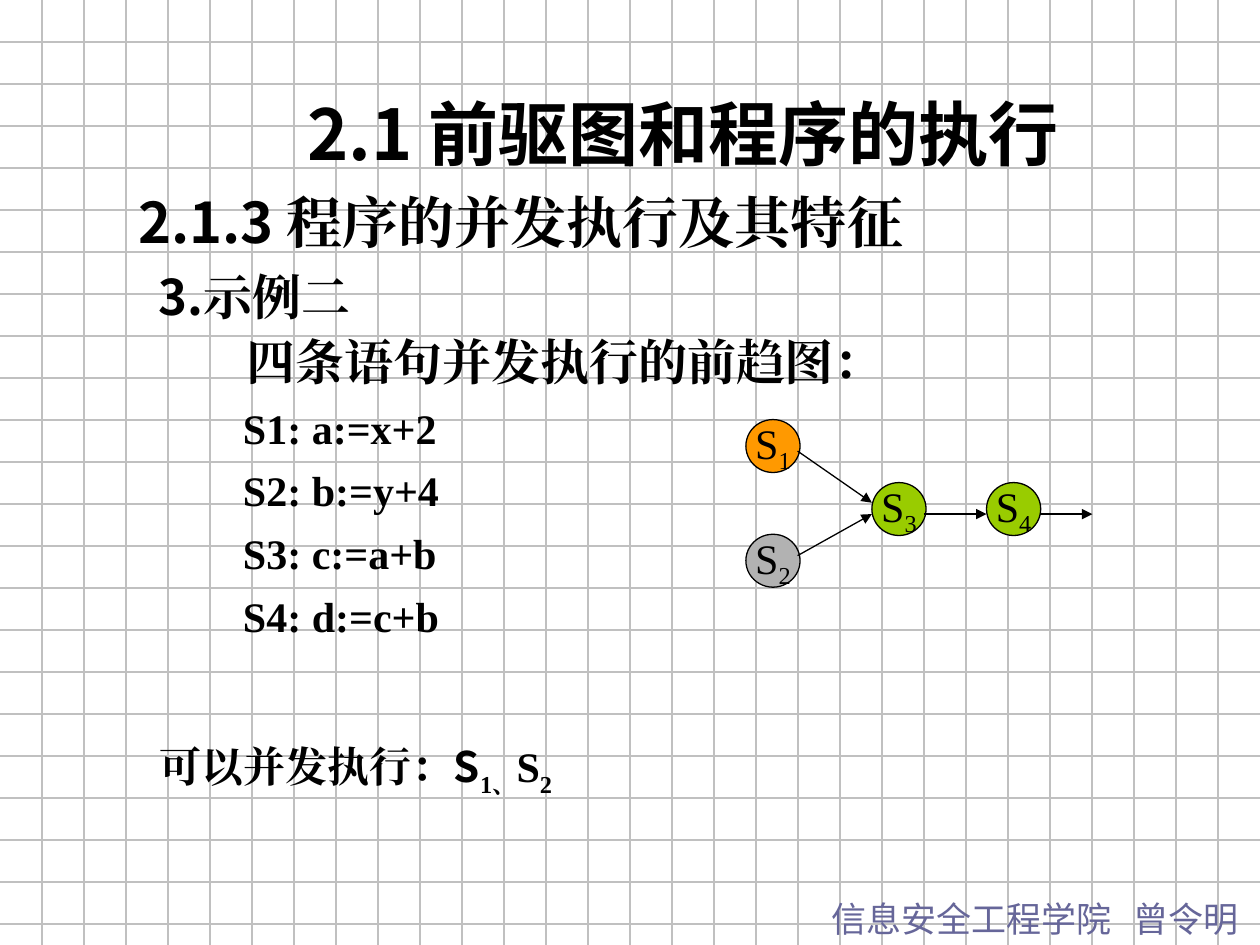
from typing import NamedTuple

from lxml.etree import SubElement
from pptx import Presentation
from pptx.dml.color import RGBColor
from pptx.enum.lang import MSO_LANGUAGE_ID
from pptx.enum.shapes import MSO_CONNECTOR, MSO_SHAPE
from pptx.enum.text import MSO_ANCHOR, PP_ALIGN
from pptx.oxml.ns import qn
from pptx.util import Inches, Pt

BLACK = RGBColor(0x00, 0x00, 0x00)
GRID_GREY = RGBColor(0xC0, 0xC0, 0xC0)
FOOTER_BLUE = RGBColor(0x66, 0x66, 0x99)
ORANGE = RGBColor(0xFF, 0x99, 0x00)
GREY = RGBColor(0xB2, 0xB2, 0xB2)
GREEN = RGBColor(0x99, 0xCC, 0x00)

TIMES = "Times New Roman"
SANS_SC = "Noto Sans CJK SC"
SANS_JP = "Noto Sans CJK JP"

WIDTH, HEIGHT = 10, 7.5
CELLS_PER_INCH = 3
NODE_WIDTH, NODE_HEIGHT = 0.43, 0.42


class Piece(NamedTuple):
    text: str
    font: str = TIMES
    subscript: bool = False


class Line(NamedTuple):
    pieces: list[Piece]
    size: float
    indent: float = 0
    before: float = 0
    spacing: float = 1.0
    align: PP_ALIGN = PP_ALIGN.LEFT
    bold: bool = True
    color: RGBColor = BLACK
    tab: float = 0


class Node(NamedTuple):
    number: str
    left: float
    top: float
    fill: RGBColor


class Edge(NamedTuple):
    x1: float
    y1: float
    x2: float
    y2: float


def write_line(paragraph, line: Line) -> None:
    properties = paragraph._p.get_or_add_pPr()
    if line.indent:
        properties.set("marL", str(Inches(line.indent)))
    if line.tab:
        tabs = SubElement(properties, qn("a:tabLst"))
        SubElement(tabs, qn("a:tab"), pos=str(Inches(line.tab)), algn="l")
    paragraph.alignment = line.align
    paragraph.line_spacing = line.spacing
    if line.before:
        paragraph.space_before = Pt(line.before)
    for piece in line.pieces:
        run = paragraph.add_run()
        run.text = piece.text
        run.font.size = Pt(line.size)
        run.font.bold = line.bold
        run.font.color.rgb = line.color
        run.font.name = piece.font
        run.font.language_id = MSO_LANGUAGE_ID.SIMPLIFIED_CHINESE
        run_properties = run._r.get_or_add_rPr()
        SubElement(run_properties, qn("a:ea"), typeface=piece.font)
        if piece.subscript:
            run_properties.set("baseline", "-25000")


def add_text(slide, left: float, top: float, width: float, height: float,
             lines: list[Line]) -> None:
    box = slide.shapes.add_textbox(Inches(left), Inches(top),
                                   Inches(width), Inches(height))
    frame = box.text_frame
    frame.word_wrap = True
    for index, line in enumerate(lines):
        paragraph = frame.add_paragraph() if index else frame.paragraphs[0]
        write_line(paragraph, line)


def add_line(slide, edge: Edge, color: RGBColor, arrow: bool = False) -> None:
    connector = slide.shapes.add_connector(
        MSO_CONNECTOR.STRAIGHT, Inches(edge.x1), Inches(edge.y1),
        Inches(edge.x2), Inches(edge.y2))
    connector.line.color.rgb = color
    connector.line.width = Pt(0.75)
    if arrow:
        SubElement(connector.line._get_or_add_ln(), qn("a:tailEnd"), type="triangle")
    SubElement(connector._element.spPr, qn("a:effectLst"))


def add_node(slide, node: Node) -> None:
    circle = slide.shapes.add_shape(
        MSO_SHAPE.OVAL, Inches(node.left), Inches(node.top),
        Inches(NODE_WIDTH), Inches(NODE_HEIGHT))
    circle.shadow.inherit = False
    circle.fill.solid()
    circle.fill.fore_color.rgb = node.fill
    circle.line.color.rgb = BLACK
    circle.line.width = Pt(0.75)
    frame = circle.text_frame
    frame.word_wrap = False
    frame.vertical_anchor = MSO_ANCHOR.MIDDLE
    write_line(frame.paragraphs[0], Line(
        [Piece("S"), Piece(node.number, subscript=True)], 24,
        align=PP_ALIGN.CENTER, bold=False))


def main() -> None:
    presentation = Presentation()
    presentation.slide_width = Inches(WIDTH)
    presentation.slide_height = Inches(HEIGHT)
    slide = presentation.slides.add_slide(presentation.slide_layouts[6])

    # Background grid
    for row in range(1, int(HEIGHT * CELLS_PER_INCH) + 1):
        y = row / CELLS_PER_INCH
        add_line(slide, Edge(0, y, WIDTH, y), GRID_GREY)
    for column in range(1, WIDTH * CELLS_PER_INCH):
        x = column / CELLS_PER_INCH
        add_line(slide, Edge(x, 0, x, HEIGHT), GRID_GREY)

    # Footer
    add_text(slide, 6.5, 7.07, 3.5, 0.44, [
        Line([Piece("信息安全工程学院\t曾令明", SANS_JP)], 20,
             bold=False, color=FOOTER_BLUE, tab=2.4)])

    # Headings
    add_text(slide, 1, 1.33, 8.58, 1.3, [
        Line([Piece("2.1.3 ", SANS_SC), Piece("程序的并发执行及其特征")], 32,
             spacing=1.2),
        Line([Piece("3.", SANS_SC), Piece("示例二")], 28, indent=0.16,
             spacing=1.2)])
    add_text(slide, 1.42, 0.67, 8, 0.77, [
        Line([Piece("2.1 前驱图和程序的执行", SANS_JP)], 40,
             align=PP_ALIGN.CENTER)])

    # Statements
    statements = ["S1: a:=x+2", "S2: b:=y+4", "S3: c:=a+b", "S4: d:=c+b"]
    add_text(slide, 0.83, 2.58, 8.75, 2.83, [
        Line([Piece("四条语句并发执行的前趋图：")], 28, indent=1.03),
        *(Line([Piece(statement)], 24, indent=1, before=7)
          for statement in statements)])

    # Conclusion
    add_text(slide, 1.17, 5.83, 8.08, 0.56, [
        Line([Piece("可以并发执行："), Piece("S", SANS_SC),
              Piece("1、", subscript=True), Piece("S"),
              Piece("2", subscript=True)], 24)])

    # Precedence graph
    for node in (Node("1", 5.92, 3.33, ORANGE), Node("2", 5.92, 4.24, GREY),
                 Node("3", 6.92, 3.83, GREEN), Node("4", 7.83, 3.83, GREEN)):
        add_node(slide, node)
    for edge in (Edge(6.33, 4.41, 6.92, 4.08), Edge(7.33, 4.08, 7.83, 4.08),
                 Edge(6.33, 3.58, 6.92, 3.99), Edge(8.25, 4.08, 8.67, 4.08)):
        add_line(slide, edge, BLACK, arrow=True)

    presentation.save("out.pptx")


if __name__ == "__main__":
    main()
